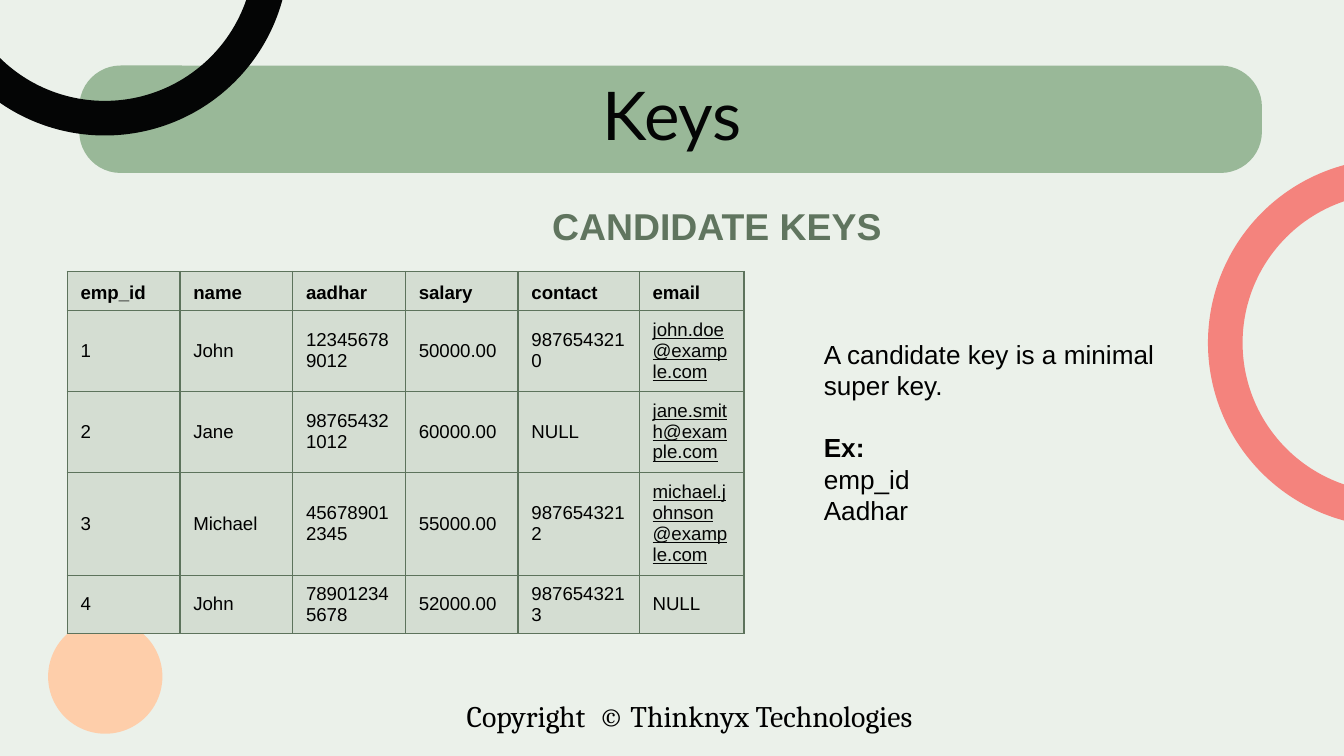
from lxml.etree import SubElement
from pptx import Presentation
from pptx.dml.color import RGBColor
from pptx.enum.shapes import MSO_SHAPE as SHAPE
from pptx.enum.text import MSO_ANCHOR as ANCHOR, PP_ALIGN as ALIGN
from pptx.oxml.ns import qn
from pptx.util import Cm, Pt

COLORS = {
    "page": "EBF1EA", "banner": "99B898", "peach": "FECEAA", "coral": "F4837D",
    "ink": "040505", "black": "000000", "heading": "60755F",
    "cell": "D4DDD2", "border": "5D735C",
}
COLUMNS = [2.13, 2.13, 2.13, 2.13, 2.29, 1.98]
ROWS = [0.74, 1.5, 1.5, 1.9, 1.09]
EMPLOYEES = [
    ["emp_id", "name", "aadhar", "salary", "contact", "email"],
    ["1", "John", "123456789012", "50000.00", "9876543210", "john.doe@example.com"],
    ["2", "Jane", "987654321012", "60000.00", "NULL", "jane.smith@example.com"],
    ["3", "Michael", "456789012345", "55000.00", "9876543212", "michael.johnson@example.com"],
    ["4", "John", "789012345678", "52000.00", "9876543213", "NULL"],
]


def rgb(name):
    return RGBColor.from_string(COLORS[name])


def write(p, text, color="black", **fmt):
    r = p.add_run()
    r.text = text
    r.font.color.rgb = rgb(color)
    for key, value in fmt.items():
        setattr(r.font, key, value)


def add_shape(slide, kind, box, color, adjustments=(), rotation=0):
    sp = slide.shapes.add_shape(kind, *map(Cm, box))
    sp.shadow.inherit = False
    sp.fill.solid()
    sp.fill.fore_color.rgb = rgb(color)
    sp.line.fill.background()
    sp.rotation = rotation
    for i, value in enumerate(adjustments):
        sp.adjustments[i] = value


def add_text(slide, box, wrap=True):
    tf = slide.shapes.add_textbox(*map(Cm, box)).text_frame
    tf.word_wrap = wrap
    return tf


def add_decor(slide, box):
    """Banner, disc and the two half rings that run off the page."""
    x, y, w, h = box
    size = 6.96
    half_ring = [108, 0.442, 0.094]
    add_shape(slide, SHAPE.ROUNDED_RECTANGLE, (x + 1.5, y + 1.24, w - 3.05, 2.03), "banner", [0.384])
    add_shape(slide, SHAPE.OVAL, (x + 0.91, y + h - 2.58, 2.16, 2.16), "peach")
    add_shape(slide, SHAPE.BLOCK_ARC, (x + w - 2.57, y + 3, size, size), "coral", half_ring, 270)
    add_shape(slide, SHAPE.BLOCK_ARC, (x - 1.5, y - 4.4, size, size), "ink", half_ring, 180)


def add_line(slide, box, text, wrap=True, margin=None, spacing=None, **fmt):
    """One centred line: title, heading or footer."""
    tf = add_text(slide, box, wrap)
    if margin is not None:
        tf.vertical_anchor = ANCHOR.MIDDLE
        for side in ("left", "top", "right", "bottom"):
            setattr(tf, f"margin_{side}", Cm(margin))
    p = tf.paragraphs[0]
    p.alignment = ALIGN.CENTER
    p.line_spacing = spacing
    write(p, text, **fmt)


def style_cell(cell):
    tcPr = cell._tc.get_or_add_tcPr()
    for tag in ("a:lnL", "a:lnR", "a:lnT", "a:lnB"):
        ln = SubElement(tcPr, qn(tag), w=str(Pt(0.75)))
        fill = SubElement(ln, qn("a:solidFill"))
        SubElement(fill, qn("a:srgbClr"), val=COLORS["border"])
    cell.fill.solid()
    cell.fill.fore_color.rgb = rgb("cell")


def add_employees(slide, box):
    table = slide.shapes.add_table(len(ROWS), len(COLUMNS), *map(Cm, box)).table
    table.horz_banding = False
    for column, width in zip(table.columns, COLUMNS):
        column.width = Cm(width)
    for row, height, values in zip(table.rows, ROWS, EMPLOYEES):
        row.height = Cm(height)
        header = values is EMPLOYEES[0]
        for cell, value in zip(row.cells, values):
            style_cell(cell)
            cell.vertical_anchor = ANCHOR.BOTTOM if header else ANCHOR.MIDDLE
            email = "@" in value
            write(cell.text_frame.paragraphs[0], value, "ink" if email else "black",
                  name="Arial", size=Pt(10), bold=header, underline=email)


def add_definition(slide, box):
    tf = add_text(slide, box)
    lines = ["A candidate key is a minimal super key.", "Ex:", "emp_id", "Aadhar"]
    for i, line in enumerate(lines):
        p = tf.add_paragraph() if i else tf.paragraphs[0]
        label = line == "Ex:"
        if label:
            p.space_before = Pt(16.5)
        write(p, line, name="Arial", size=Pt(14), bold=label)


def main():
    prs = Presentation()
    width, height = 25.4, 14.29
    prs.slide_width, prs.slide_height = Cm(width), Cm(height)
    slide = prs.slides.add_slide(prs.slide_layouts[6])
    slide.background.fill.solid()
    slide.background.fill.fore_color.rgb = rgb("page")

    # Footer and decoration
    add_line(slide, (7.98, 13.06, 10.11, 0.94), "Copyright  © Thinknyx Technologies",
             wrap=False, name="Cambria", size=Pt(16))
    add_decor(slide, (0, 0, width, height))

    # Title and heading
    add_line(slide, (1.98, 1.7, 21.44, 1.19), "Keys", margin=0, spacing=0.8,
             color="ink", name="Lato", size=Pt(36))
    add_line(slide, (9.32, 3.71, 8.46, 1.12), "CANDIDATE KEYS",
             color="heading", name="Arial", size=Pt(20), bold=True)

    # Table and definition
    add_employees(slide, (1.27, 5.13, sum(COLUMNS), sum(ROWS)))
    add_definition(slide, (15.32, 6.27, 7.75, 3.84))
    prs.save("out.pptx")


if __name__ == "__main__":
    main()
